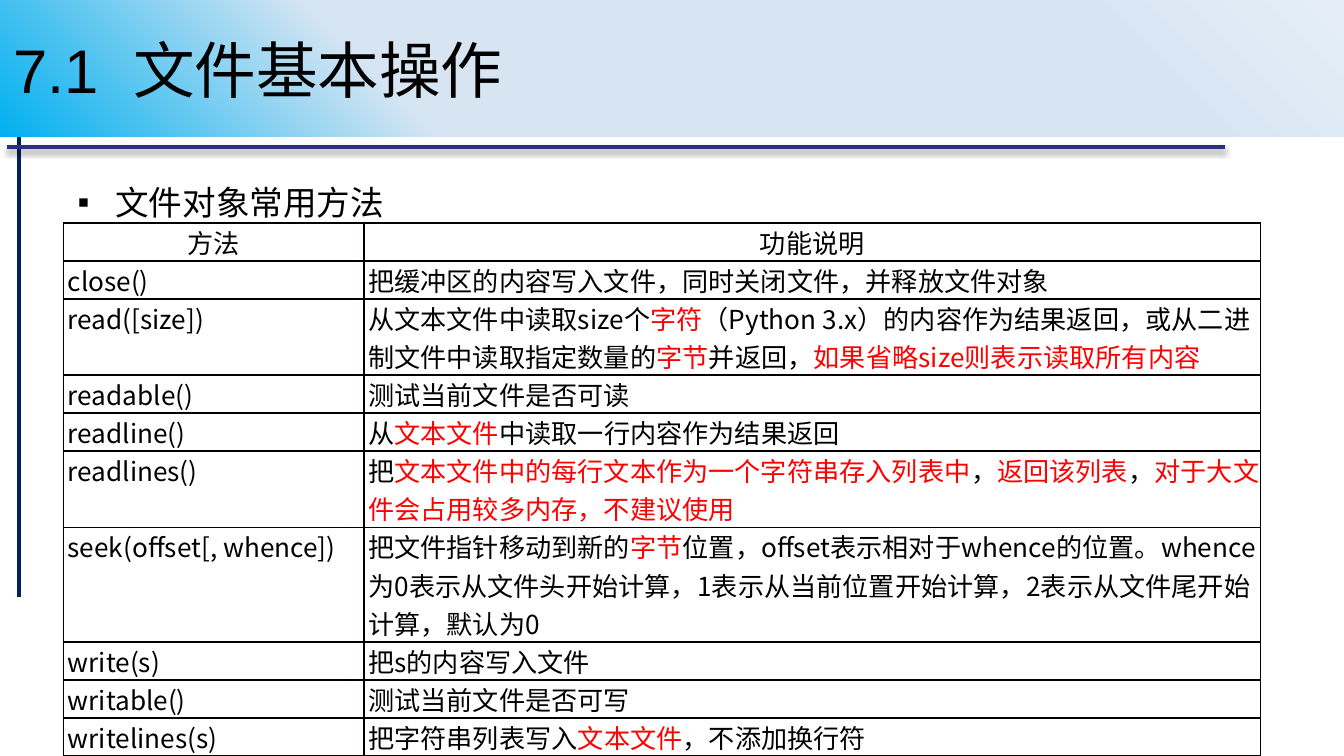
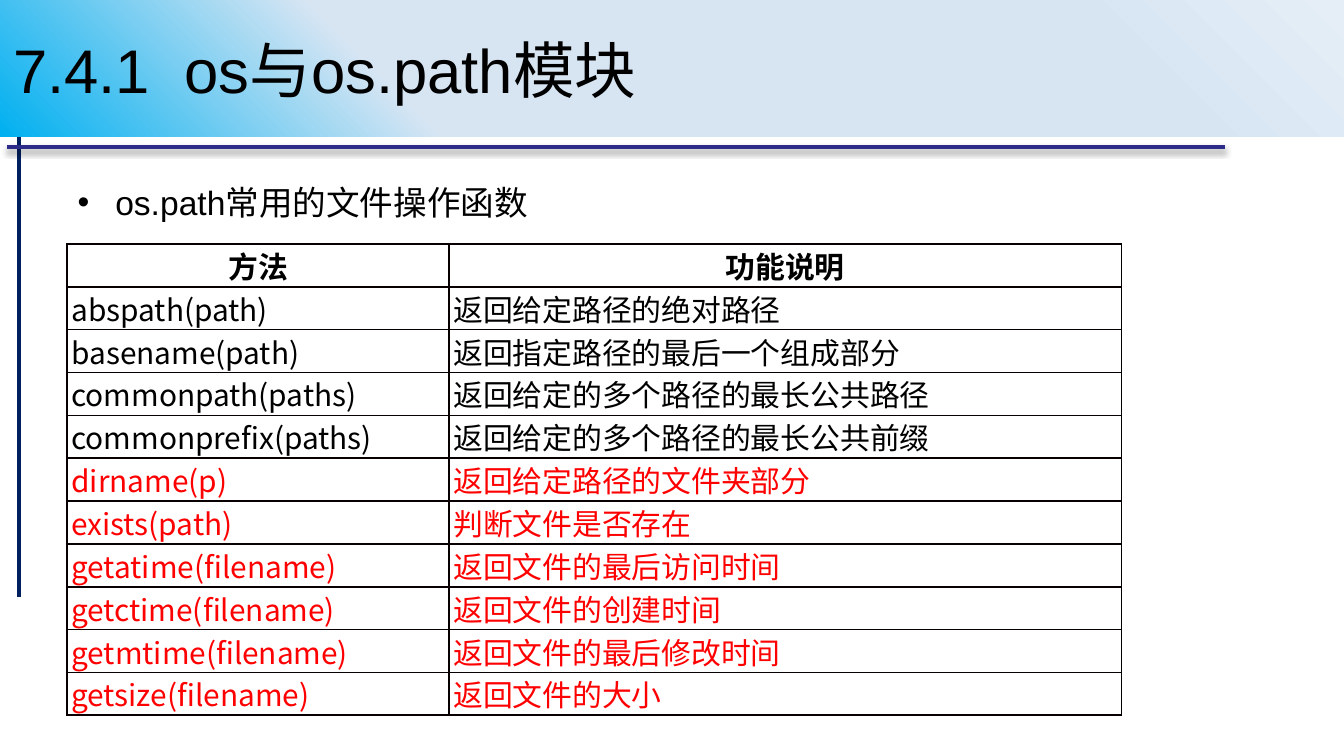
"""Build two slides on Python file methods and os.path functions."""
from dataclasses import dataclass

from lxml import etree
from pptx import Presentation
from pptx.dml.color import RGBColor
from pptx.enum.shapes import MSO_CONNECTOR, MSO_SHAPE
from pptx.enum.text import MSO_ANCHOR, PP_ALIGN
from pptx.oxml import parse_xml
from pptx.oxml.ns import nsdecls, qn
from pptx.util import Cm, Pt

RECT = MSO_SHAPE.RECTANGLE
STRAIGHT = MSO_CONNECTOR.STRAIGHT
LEFT, CENTER = PP_ALIGN.LEFT, PP_ALIGN.CENTER
MIDDLE, TOP = MSO_ANCHOR.MIDDLE, MSO_ANCHOR.TOP


@dataclass(frozen=True)
class Theme:
    """Colours, fonts and type sizes of the slides."""
    text: str = "000000"
    accent: str = "FF0000"
    side: str = "002060"
    rule: str = "2D2D89"
    border: str = "080000"
    band: tuple = ((0, "00B0F0"), (30, "D7E5F3"), (81, "D7E5F3"), (100, "E5EEF7"))
    font: str = "Arial"
    cjk: str = "Noto Sans CJK SC"
    title_size: int = 33
    body_size: int = 18
    method_size: int = 14
    function_size: int = 16
    rule_width: float = 2.25


THEME = Theme()

METHODS = [
    ("方法", "功能说明"),
    ("close()", "把缓冲区的内容写入文件，同时关闭文件，并释放文件对象"),
    ("read([size])", "从文本文件中读取size个|字符|（Python 3.x）的内容作为结果返回，"
     "或从二进制文件中读取指定数量的|字节|并返回，|如果省略size则表示读取所有内容"),
    ("readable()", "测试当前文件是否可读"),
    ("readline()", "从|文本文件|中读取一行内容作为结果返回"),
    ("readlines()", "把|文本文件中的每行文本作为一个字符串存入列表中|，|返回该列表|，|"
     "对于大文件会占用较多内存，不建议使用"),
    ("seek(offset[, whence])", "把文件指针移动到新的|字节|位置，offset表示相对于whence的位置。"
     "whence为0表示从文件头开始计算，1表示从当前位置开始计算，2表示从文件尾开始计算，默认为0"),
    ("write(s)", "把s的内容写入文件"),
    ("writable()", "测试当前文件是否可写"),
    ("writelines(s)", "把字符串列表写入|文本文件|，不添加换行符"),
]
METHOD_LINES = [1, 1, 2, 1, 1, 2, 3, 1, 1, 1]

PATH_FUNCTIONS = [
    ("方法", "功能说明"),
    ("abspath(path)", "返回给定路径的绝对路径"),
    ("basename(path)", "返回指定路径的最后一个组成部分"),
    ("commonpath(paths)", "返回给定的多个路径的最长公共路径"),
    ("commonprefix(paths)", "返回给定的多个路径的最长公共前缀"),
    ("|dirname(p)", "|返回给定路径的文件夹部分"),
    ("|exists(path)", "|判断文件是否存在"),
    ("|getatime(filename)", "|返回文件的最后访问时间"),
    ("|getctime(filename)", "|返回文件的创建时间"),
    ("|getmtime(filename)", "|返回文件的最后修改时间"),
    ("|getsize(filename)", "|返回文件的大小"),
]


def format_run(r, size, color=THEME.text, font=THEME.font, bold=False):
    """Apply size, colour and Latin and East Asian fonts to a run."""
    r.font.size = Pt(size)
    r.font.bold = bold
    r.font.color.rgb = RGBColor.from_string(color)
    r.font.name = font
    etree.SubElement(r.font._element, qn("a:ea"), typeface=THEME.cjk)


def add_rule(s, x1, y1, x2, y2, color, shadow=False):
    """Draw a straight rule, optionally with a soft shadow below."""
    line = s.shapes.add_connector(STRAIGHT, Cm(x1), Cm(y1), Cm(x2), Cm(y2))
    line.line.color.rgb = RGBColor.from_string(color)
    line.line.width = Pt(THEME.rule_width)
    effects = etree.SubElement(line._element.spPr, qn("a:effectLst"))
    if shadow:
        outer = etree.SubElement(effects, qn("a:outerShdw"), blurRad=str(Pt(3.1)),
                                 dist=str(Pt(1.8)), dir="5400000", rotWithShape="0")
        tint = etree.SubElement(outer, qn("a:srgbClr"), val=THEME.text)
        etree.SubElement(tint, qn("a:alpha"), val="35000")


def add_title_band(s, title):
    """Add the title on a band that shades out from its lower left corner."""
    sp = s.shapes.add_shape(RECT, 0, 0, Cm(25.4), Cm(2.59))
    sp.shadow.inherit = False
    sp.line.fill.background()
    stops = "".join(f'<a:gs pos="{pos * 1000}"><a:srgbClr val="{color}"/></a:gs>'
                    for pos, color in THEME.band)
    sp._element.spPr.find(qn("a:prstGeom")).addnext(parse_xml(
        f'<a:gradFill {nsdecls("a")} rotWithShape="1"><a:gsLst>{stops}</a:gsLst>'
        '<a:path path="circle"><a:fillToRect t="100000" r="100000"/></a:path></a:gradFill>'))
    tf = sp.text_frame
    tf.word_wrap = True
    tf.vertical_anchor = MIDDLE
    tf.text = title
    p = tf.paragraphs[0]
    p.alignment = LEFT
    format_run(p.runs[0], THEME.title_size)


def add_bullet(s, text, mark):
    """Add the bulleted line that introduces the table."""
    tf = s.shapes.add_textbox(Cm(1.27), Cm(3.33), Cm(22.86), Cm(9.42)).text_frame
    tf.word_wrap = True
    tf.margin_left = tf.margin_right = Cm(0.2)
    tf.margin_top = tf.margin_bottom = Cm(0.1)
    tf.text = text
    p = tf.paragraphs[0]
    p.space_before = Pt(2.7)
    pPr = p._p.get_or_add_pPr()
    pPr.set("marL", str(Cm(0.71)))
    pPr.set("indent", str(-Cm(0.71)))
    etree.SubElement(pPr, qn("a:buFont"), typeface=THEME.font)
    etree.SubElement(pPr, qn("a:buChar"), char=mark)
    format_run(p.runs[0], THEME.body_size)


def set_borders(cell, is_last):
    """Outline a cell, with a thinner line on the right edge of the table."""
    tcPr = cell._tc.get_or_add_tcPr()
    for side in "LRTB":
        color, width = (THEME.text, 0.75) if is_last and side == "R" else (THEME.border, 1)
        ln = etree.SubElement(tcPr, qn(f"a:ln{side}"), w=str(Pt(width)))
        fill = etree.SubElement(ln, qn("a:solidFill"))
        etree.SubElement(fill, qn("a:srgbClr"), val=color)


def fill_cell(cell, text, size, is_header, bold, is_last):
    """Write a cell, colouring every second part between bars as an accent."""
    cell.margin_left = 0 if is_header else Cm(0.08)
    cell.margin_right = cell.margin_top = cell.margin_bottom = 0
    cell.vertical_anchor = TOP
    set_borders(cell, is_last)
    cell.fill.background()
    p = cell.text_frame.paragraphs[0]
    p.alignment = CENTER if is_header else LEFT
    for i, part in enumerate(text.split("|")):
        if part:
            r = p.add_run()
            r.text = part
            format_run(r, size, THEME.accent if i % 2 else THEME.text, THEME.cjk, bold)


def add_grid(s, rows, x, y, widths, heights, size, bold_header=False):
    """Add a two-column table with a centred header row."""
    table = s.shapes.add_table(len(rows), len(widths), Cm(x), Cm(y),
                               Cm(sum(widths)), Cm(sum(heights))).table
    table.first_row = table.horz_banding = False
    for column, width in zip(table.columns, widths):
        column.width = Cm(width)
    for i, (row, height) in enumerate(zip(rows, heights)):
        table.rows[i].height = Cm(height)
        for j, text in enumerate(row):
            fill_cell(table.cell(i, j), text, size, i == 0,
                      bold_header and i == 0, j == len(row) - 1)


def add_topic_slide(prs, title, bullet, mark):
    """Add a slide with the shared rules, title band and bullet."""
    s = prs.slides.add_slide(prs.slide_layouts[6])
    add_rule(s, 0.36, 2.06, 0.36, 11.29, THEME.side)
    add_rule(s, 0.13, 2.78, 23.15, 2.78, THEME.rule, shadow=True)
    add_title_band(s, title)
    add_bullet(s, bullet, mark)
    return s


def main():
    """Build and save the presentation."""
    prs = Presentation()
    prs.slide_width, prs.slide_height = Cm(25.4), Cm(14.29)

    s = add_topic_slide(prs, "7.1  文件基本操作", "文件对象常用方法", "▪")
    add_grid(s, METHODS, 1.2, 4.21, (5.68, 16.94),
             [0.72 * lines for lines in METHOD_LINES], THEME.method_size)

    s = add_topic_slide(prs, "7.4.1  os与os.path模块", "os.path常用的文件操作函数", "•")
    add_grid(s, PATH_FUNCTIONS, 1.27, 4.61, (7.22, 12.7),
             [0.81] * len(PATH_FUNCTIONS), THEME.function_size, bold_header=True)

    prs.save("out.pptx")


if __name__ == "__main__":
    main()
